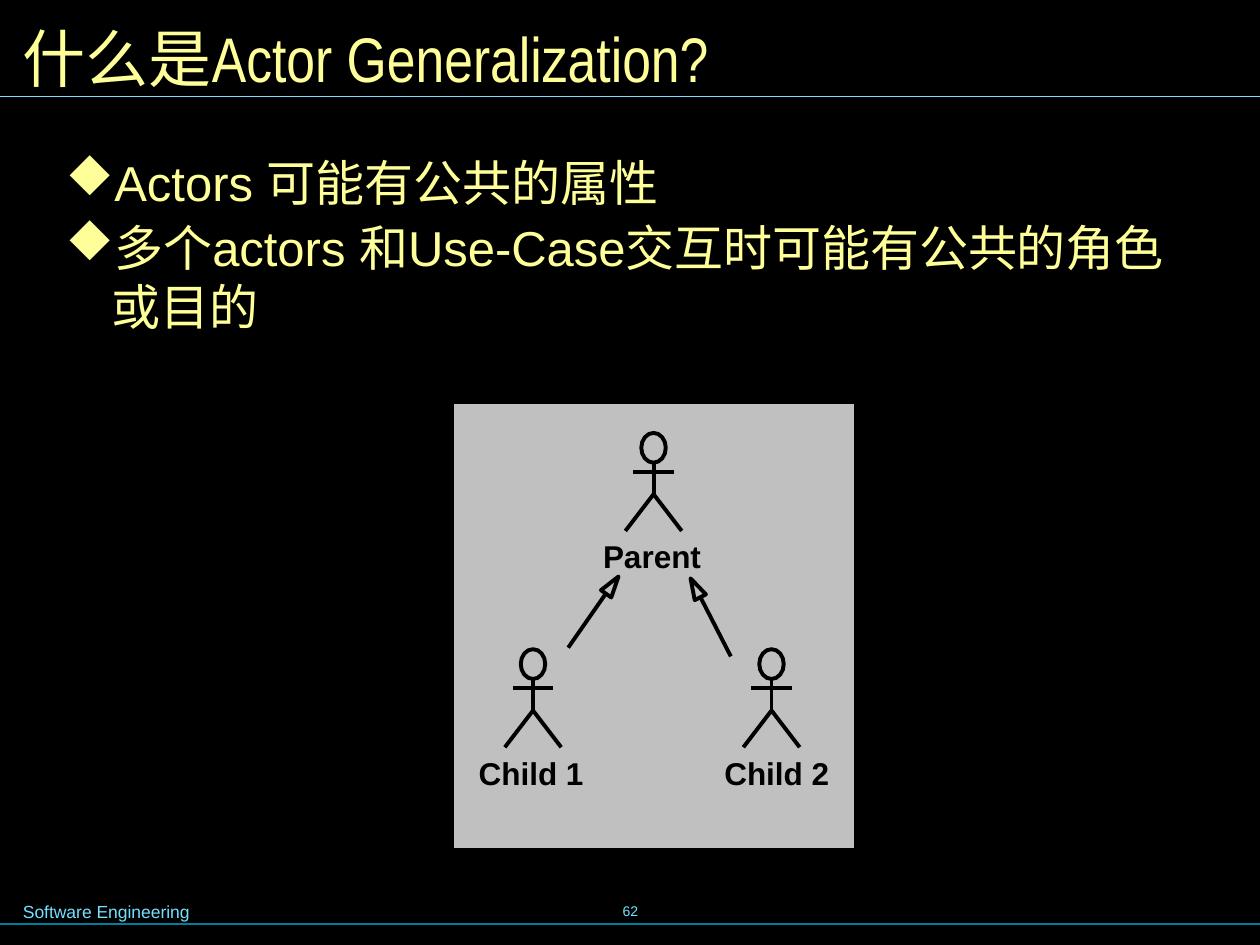
"""Build the slide that explains actor generalization."""
from math import cos, pi, sin

from lxml.etree import SubElement
from pptx import Presentation
from pptx.dml.color import RGBColor
from pptx.enum.shapes import MSO_CONNECTOR as CONNECTOR, MSO_SHAPE as SHAPE
from pptx.enum.text import MSO_ANCHOR as ANCHOR, PP_ALIGN as ALIGN
from pptx.oxml.ns import qn
from pptx.util import Pt

COLORS = {
    "background": "000000",
    "ink": "000000",
    "panel": "C0C0C0",
    "text": "FFFF99",
    "footer": "73E1FF",
    "footer_rule": "007E9F",
}

deck = Presentation()
deck.slide_width, deck.slide_height = Pt(720), Pt(540)
slide = deck.slides.add_slide(deck.slide_layouts[6])
slide.background.fill.solid()
slide.background.fill.fore_color.rgb = RGBColor.from_string(COLORS["background"])


def write(text, left, top, width, height, size, color, font="Arial", bold=False,
          align=ALIGN.LEFT, anchor=ANCHOR.TOP, inset=7.2, bullet=None):
    frame = slide.shapes.add_textbox(Pt(left), Pt(top), Pt(width), Pt(height)).text_frame
    frame.word_wrap = True
    frame.vertical_anchor = anchor
    frame.margin_left = frame.margin_right = Pt(inset)
    frame.margin_top = frame.margin_bottom = Pt(inset / 2)
    frame.text = text
    for index, paragraph in enumerate(frame.paragraphs):
        paragraph.alignment = align
        if index:
            paragraph.space_before = Pt(3.5)
        if bullet:
            props = paragraph._p.get_or_add_pPr()
            props.set("marL", str(Pt(26.5)))
            props.set("indent", str(-Pt(26.5)))
            bullet_color = SubElement(props, qn("a:buClr"))
            SubElement(bullet_color, qn("a:srgbClr"), val=COLORS[color])
            SubElement(props, qn("a:buFont"), typeface="Wingdings", charset="2")
            SubElement(props, qn("a:buChar"), char=bullet)
        for run in paragraph.runs:
            run.font.size = Pt(size)
            run.font.name = font
            run.font.bold = bold
            run.font.color.rgb = RGBColor.from_string(COLORS[color])


def draw_line(x1, y1, x2, y2, color="ink", weight=2.25):
    line = slide.shapes.add_connector(CONNECTOR.STRAIGHT, Pt(x1), Pt(y1), Pt(x2), Pt(y2))
    line.line.color.rgb = RGBColor.from_string(COLORS[color])
    line.line.width = Pt(weight)
    SubElement(line._element.spPr, qn("a:effectLst"))


write("62", 246.2, 502.6, 228.2, 36, 8, "footer", align=ALIGN.CENTER, anchor=ANCHOR.MIDDLE)
draw_line(0, 528, 722.9, 528, "footer_rule", 0.75)
draw_line(0, 55, 720, 55, "footer", 0.75)
write("Software Engineering", 6, 511.2, 212.4, 19.4, 10, "footer")
write("Actors 可能有公共的属性\n多个actors 和Use-Case交互时可能有公共的角色或目的",
      28.8, 82.8, 668.9, 130.3, 28, "text", inset=8.64, bullet="u")
write("什么是Actor Generalization?", 6, 6, 708.5, 54, 36, "text",
      font="Arial Narrow", anchor=ANCHOR.MIDDLE)

panel = slide.shapes.add_shape(SHAPE.RECTANGLE, Pt(259.2), Pt(230.6), Pt(229.2), Pt(254.4))
panel.shadow.inherit = False
panel.fill.solid()
panel.fill.fore_color.rgb = RGBColor.from_string(COLORS["panel"])
panel.line.color.rgb = RGBColor.from_string(COLORS["ink"])
panel.line.width = Pt(0.75)

actors = [
    ("Parent", 373.5, 247.4, 372.6),
    ("Child 1", 304.6, 371, 303.5),
    ("Child 2", 440.9, 371, 443.9),
]
for name, x, top, label_x in actors:
    head = [(x + 7 * sin(step * pi / 8), top + 8.5 - 8.5 * cos(step * pi / 8))
            for step in range(16)]
    legs = [(x - 16.1, top + 56), (x, top + 35), (x + 16.1, top + 56)]
    for points, closed in [(head, True), (legs, False)]:
        start, *rest = [(Pt(px), Pt(py)) for px, py in points]
        builder = slide.shapes.build_freeform(*start)
        builder.add_line_segments(rest, close=closed)
        outline = builder.convert_to_shape()
        outline.shadow.inherit = False
        outline.fill.background()
        outline.line.color.rgb = RGBColor.from_string(COLORS["ink"])
        outline.line.width = Pt(2.25)
    draw_line(x - 11.6, top + 22.2, x + 11.6, top + 22.2)
    draw_line(x, top + 17, x, top + 35.6)
    write(name, label_x - 43, top + 55.4, 86, 30.2, 18, "ink", bold=True,
          align=ALIGN.CENTER, inset=8.64)

generalizations = [
    ((346.3, 339.1), (324.7, 370.1), (346.3, 328.3), 35.5),
    ((400.3, 341.3), (417.6, 375.1), (393.8, 329.8), 332.7),
]
for base, tail, tip_corner, angle in generalizations:
    draw_line(*base, *tail)
    tip = slide.shapes.add_shape(SHAPE.ISOSCELES_TRIANGLE, Pt(tip_corner[0]),
                                 Pt(tip_corner[1]), Pt(7.2), Pt(12.2))
    tip.rotation = angle
    tip.shadow.inherit = False
    tip.fill.background()
    tip.line.color.rgb = RGBColor.from_string(COLORS["ink"])
    tip.line.width = Pt(2.25)

deck.save("out.pptx")
